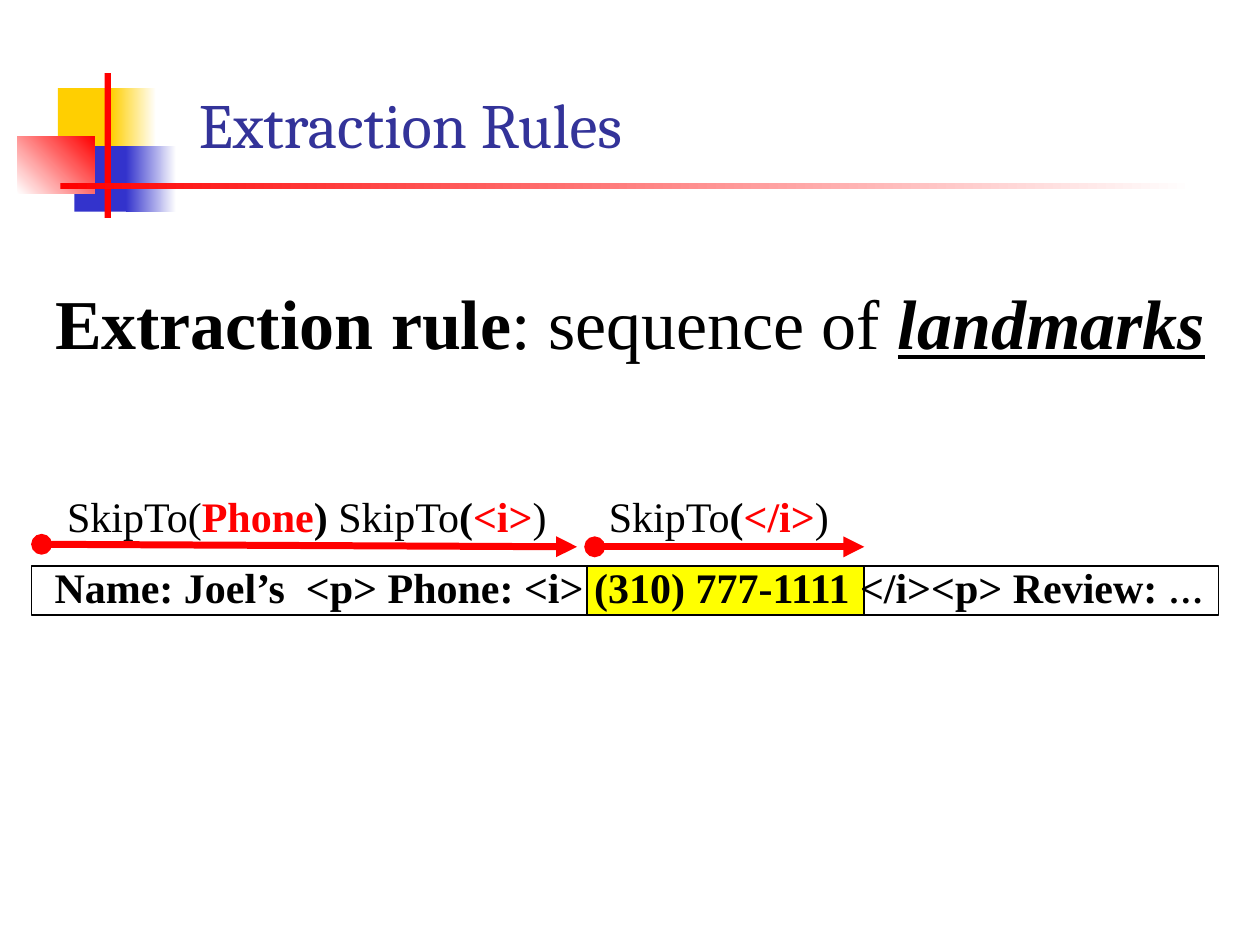
from dataclasses import dataclass
from typing import NamedTuple, Optional

from lxml import etree
from pptx import Presentation, util as u
from pptx.dml.color import RGBColor
from pptx.enum import shapes, text
from pptx.oxml.ns import qn

COLUMNS, ROWS = 100, 75
CELL = u.Inches(0.1)


@dataclass(frozen=True)
class Theme:
    ink: str = "000000"
    paper: str = "FFFFFF"
    red: str = "FF0000"
    gold: str = "FFCF01"
    blue: str = "3333CC"
    heading: str = "333399"
    highlight: str = "FFFF00"
    heading_font: str = "Cambria"
    body_font: str = "Times New Roman"
    heading_size: int = 36
    statement_size: int = 40
    code_size: int = 24
    ellipsis_size: int = 20
    border: int = 1
    arrow: int = 4


THEME = Theme()


class Area(NamedTuple):
    """Place in grid columns and rows."""
    left: float
    top: float
    width: float
    height: float


class Block(NamedTuple):
    area: Area
    fill: str
    fade_to: Optional[str] = None
    angle: int = 0
    border: Optional[str] = None


class Span(NamedTuple):
    words: str
    color: str = THEME.ink
    bold: bool = False
    italic: bool = False
    underline: bool = False
    size: Optional[int] = None


class Label(NamedTuple):
    area: Area
    spans: list[Span]
    size: int = THEME.code_size
    font: str = THEME.body_font
    align: text.PP_ALIGN = text.PP_ALIGN.CENTER
    anchor: text.MSO_ANCHOR = text.MSO_ANCHOR.TOP
    inset: float = 1
    wrap: bool = True


class Skip(NamedTuple):
    """An arrow over the part of the page that a rule skips."""
    left: float
    right: float
    start_row: float
    end_row: float


def grid(*cells: float) -> list[int]:
    return [u.Emu(round(cell * CELL)) for cell in cells]


def rgb(color: str) -> RGBColor:
    return RGBColor.from_string(color)


def draw_block(page, block: Block) -> None:
    box = page.shapes.add_shape(shapes.MSO_SHAPE.RECTANGLE, *grid(*block.area))
    box.shadow.inherit = False
    if block.fade_to:
        box.fill.gradient()
        box.fill.gradient_angle = block.angle
        for stop, color in zip(box.fill.gradient_stops, (block.fill, block.fade_to)):
            stop.color.rgb = rgb(color)
    else:
        box.fill.solid()
        box.fill.fore_color.rgb = rgb(block.fill)
    if block.border:
        box.line.color.rgb = rgb(block.border)
        box.line.width = u.Pt(THEME.border)
    else:
        box.line.fill.background()


def draw_label(page, label: Label) -> None:
    frame = page.shapes.add_textbox(*grid(*label.area)).text_frame
    frame.word_wrap = label.wrap
    frame.vertical_anchor = label.anchor
    frame.margin_left = grid(label.inset)[0]
    para = frame.paragraphs[0]
    para.alignment = label.align
    para.font.name = label.font
    para.font.size = u.Pt(label.size)
    for span in label.spans:
        run = para.add_run()
        run.text = span.words
        run.font.color.rgb = rgb(span.color)
        run.font.bold = span.bold
        run.font.italic = span.italic
        run.font.underline = span.underline
        if span.size:
            run.font.size = u.Pt(span.size)


def draw_skip(page, skip: Skip) -> None:
    arrow = page.shapes.add_connector(
        shapes.MSO_CONNECTOR.STRAIGHT,
        *grid(skip.left, skip.start_row, skip.right, skip.end_row))
    arrow.line.color.rgb = rgb(THEME.red)
    arrow.line.width = u.Pt(THEME.arrow)
    outline = arrow.line._get_or_add_ln()
    for end, kind in (("a:headEnd", "oval"), ("a:tailEnd", "triangle")):
        etree.SubElement(outline, qn(end), type=kind)
    etree.SubElement(arrow._element.spPr, qn("a:effectLst"))


def bold(words: str, color: str = THEME.ink) -> Span:
    return Span(words, color, bold=True)


ORNAMENT = [
    Block(Area(4.6, 7, 4.8, 5.2), THEME.gold),
    Block(Area(8.8, 7, 3.6, 5.2), THEME.gold, THEME.paper),
    Block(Area(5.9, 11.6, 4.6, 5.2), THEME.blue),
    Block(Area(10, 11.6, 4, 5.2), THEME.blue, THEME.paper),
    Block(Area(1.4, 10.8, 6.1, 4.6), THEME.paper, THEME.red, angle=45),
    Block(Area(8.3, 5.8, 0.5, 11.5), THEME.red),
    Block(Area(4.8, 14.5, 90, 0.5), THEME.red, THEME.paper),
]
STRIP = [
    Block(Area(2.5, 44.9, 94.2, 3.9), THEME.paper, border=THEME.ink),
    Block(Area(46.6, 44.9, 22, 3.9), THEME.highlight, border=THEME.ink),
]
LABELS = [
    Label(Area(14.8, 5, 85.2, 8.3), [Span("Extraction Rules", THEME.heading)],
          THEME.heading_size, THEME.heading_font, text.PP_ALIGN.LEFT,
          text.MSO_ANCHOR.BOTTOM),
    Label(Area(0, 21.7, COLUMNS, 7.7),
          [bold("Extraction rule"), Span(": sequence of "),
           Span("landmarks", bold=True, italic=True, underline=True)],
          THEME.statement_size),
    Label(Area(0, 44.1, COLUMNS, 7.5),
          [bold("Name: Joel’s  <p> Phone: <i> (310) 777-1111 </i><p> Review: "),
           Span("…", bold=True, size=THEME.ellipsis_size)],
          align=text.PP_ALIGN.LEFT, inset=4.33),
    Label(Area(4.1, 38.4, 40.5, 5),
          [Span("SkipTo("), bold("Phone", THEME.red), bold(") "), Span("SkipTo"),
           bold("("), bold("<i>", THEME.red), Span(")")], wrap=False),
    Label(Area(47.2, 38.4, 19.7, 5),
          [Span("SkipTo"), bold("("), bold("</i>", THEME.red), Span(")")],
          wrap=False),
]
SKIPS = [Skip(3.3, 45.8, 43.2, 43.4), Skip(47.2, 68.6, 43.4, 43.4)]


def main() -> None:
    deck = Presentation()
    deck.slide_width, deck.slide_height = grid(COLUMNS, ROWS)
    page = deck.slides.add_slide(deck.slide_layouts[6])
    for block in ORNAMENT + STRIP:
        draw_block(page, block)
    for label in LABELS:
        draw_label(page, label)
    for skip in SKIPS:
        draw_skip(page, skip)
    deck.save("out.pptx")


if __name__ == "__main__":
    main()
